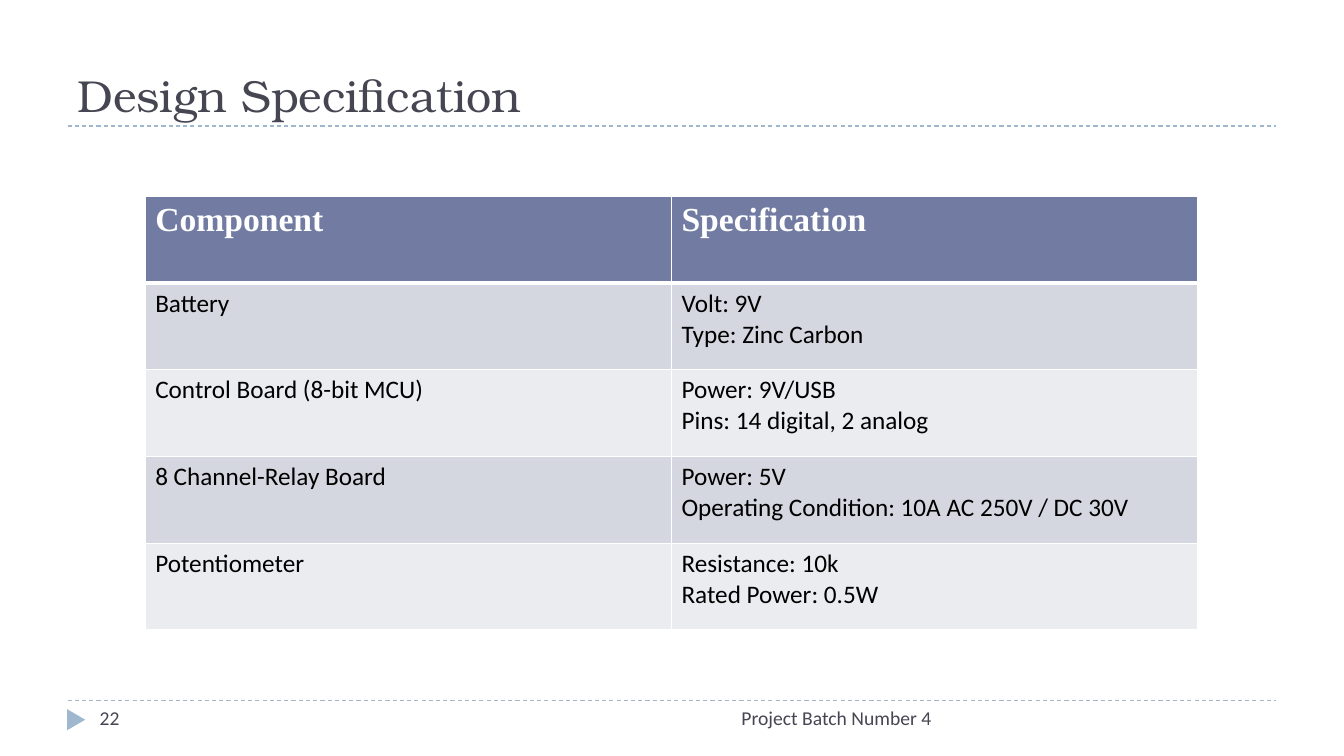
import pptx
import pptx.util
import pptx.dml.color
import pptx.enum.dml
import pptx.enum.shapes
import pptx.enum.text
import pptx.oxml.ns
import lxml.etree

Inches, Pt = pptx.util.Inches, pptx.util.Pt
qn = pptx.oxml.ns.qn
ALIGN = pptx.enum.text.PP_ALIGN
ANCHOR = pptx.enum.text.MSO_ANCHOR
COLORS = {
    "ink": "464653", "accent": "9FB8CD", "header": "727CA3",
    "band_dark": "D5D7E0", "band_light": "EBECF0",
    "white": "FFFFFF", "black": "000000",
}
WIDTH, HEIGHT = 13.33, 7.5
MARGIN = 0.67
FOOTER_TOP = 6.95
ROWS = [
    ("Component", ["Specification"]),
    ("Battery", ["Volt: 9V", "Type: Zinc Carbon"]),
    ("Control Board (8-bit MCU)", ["Power: 9V/USB", "Pins: 14 digital, 2 analog"]),
    ("8 Channel-Relay Board", ["Power: 5V", "Operating Condition: 10A AC 250V / DC 30V"]),
    ("Potentiometer", ["Resistance: 10k", "Rated Power: 0.5W"]),
]


def color(name):
    return pptx.dml.color.RGBColor.from_string(COLORS[name])


def write_lines(frame, lines, size, font, ink, bold=False, align=ALIGN.LEFT):
    """Fill a text frame with one paragraph per line."""
    frame.word_wrap = True
    for index, line in enumerate(lines):
        para = frame.add_paragraph() if index else frame.paragraphs[0]
        para.alignment = align
        span = para.add_run()
        span.text = line
        span.font.size = Pt(size)
        span.font.name = font
        span.font.bold = bold
        span.font.color.rgb = color(ink)


deck = pptx.Presentation()
deck.slide_width, deck.slide_height = Inches(WIDTH), Inches(HEIGHT)
page = deck.slides.add_slide(deck.slide_layouts[6])

# Dashed rules and the footer marker
for y in (FOOTER_TOP, 1.25):
    rule = page.shapes.add_connector(
        pptx.enum.shapes.MSO_CONNECTOR.STRAIGHT,
        Inches(MARGIN), Inches(y), Inches(WIDTH - MARGIN), Inches(y))
    rule.line.color.rgb = color("accent")
    rule.line.width = Pt(0.75)
    rule.line.dash_style = pptx.enum.dml.MSO_LINE.DASH
    lxml.etree.SubElement(rule._element.spPr, qn("a:effectLst"))

marker = page.shapes.add_shape(
    pptx.enum.shapes.MSO_SHAPE.ISOSCELES_TRIANGLE,
    Inches(0.65), Inches(7.05), Inches(0.21), Inches(0.18))
marker.rotation = 90
marker.shadow.inherit = False
marker.fill.solid()
marker.fill.fore_color.rgb = color("accent")
marker.line.fill.background()

# Title, footer and page number
for text, left, top, width, height, size, font, align, anchor in (
    ("Design Specification", MARGIN, 0.25, WIDTH - 2 * MARGIN, 1, 32,
     "TeX Gyre Bonum", ALIGN.LEFT, ANCHOR.BOTTOM),
    ("Project Batch Number 4", 4.23, FOOTER_TOP, 5.11, 0.4, 14,
     "Calibri", ALIGN.RIGHT, ANCHOR.TOP),
    ("22", 0.89, FOOTER_TOP, 2.89, 0.4, 14,
     "Calibri", ALIGN.LEFT, ANCHOR.TOP),
):
    box = page.shapes.add_textbox(Inches(left), Inches(top), Inches(width), Inches(height))
    box.text_frame.vertical_anchor = anchor
    write_lines(box.text_frame, [text], size, font, "ink", align=align)

# Specification table
table = page.shapes.add_table(
    len(ROWS), 2, Inches(1.44), Inches(1.95), Inches(10.44), Inches(4.3)).table
for row, (component, details) in enumerate(ROWS):
    is_header = row == 0
    band = "header" if is_header else "band_dark" if row % 2 else "band_light"
    for column, lines in enumerate(([component], details)):
        cell = table.cell(row, column)
        if is_header:
            write_lines(cell.text_frame, lines, 24, "Times New Roman", "white", bold=True)
        else:
            write_lines(cell.text_frame, lines, 18, "Calibri", "black")
        properties = cell._tc.get_or_add_tcPr()
        for side in ("L", "R", "T", "B"):
            thick = (row, side) in ((0, "B"), (1, "T"))
            border = lxml.etree.SubElement(
                properties, qn("a:ln" + side), w=str(Pt(3 if thick else 1)))
            paint = lxml.etree.SubElement(border, qn("a:solidFill"))
            lxml.etree.SubElement(paint, qn("a:srgbClr"), val=COLORS["white"])
        cell.fill.solid()
        cell.fill.fore_color.rgb = color(band)

deck.save("out.pptx")
